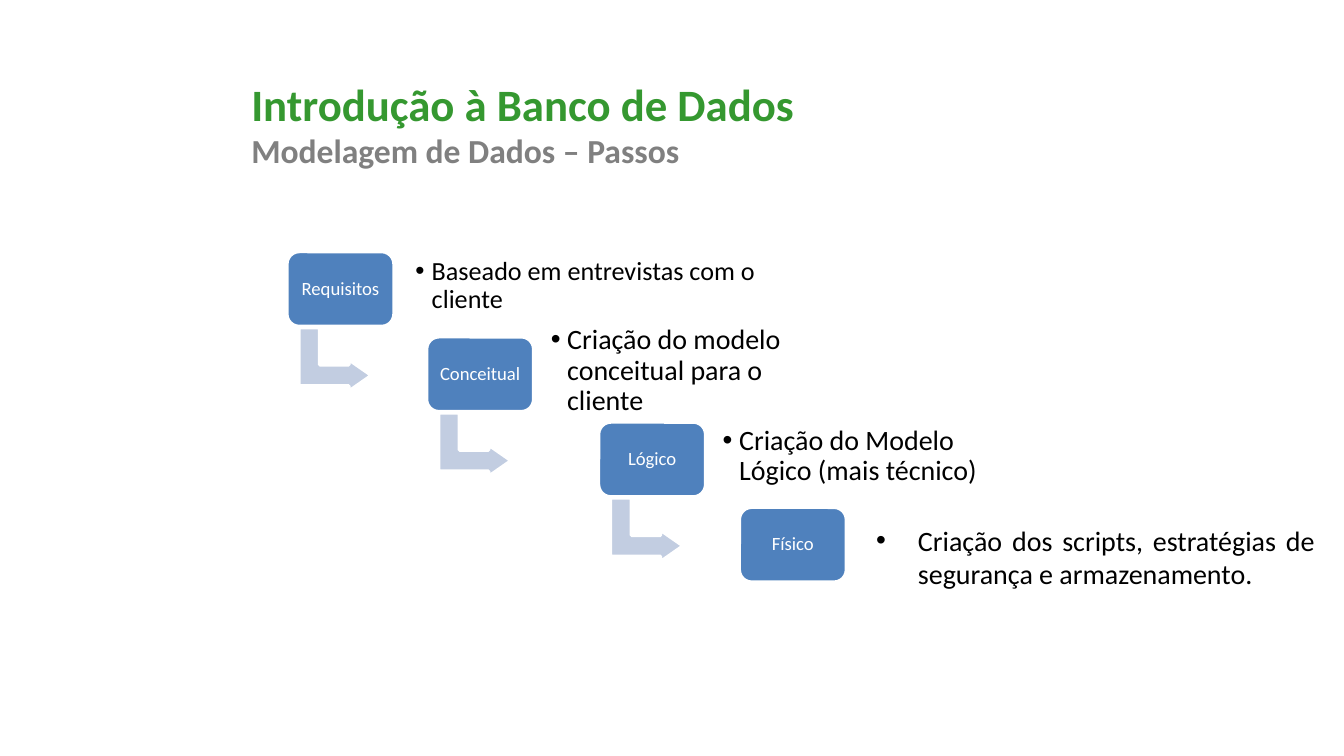
from dataclasses import dataclass

from lxml.etree import SubElement
from pptx import Presentation
from pptx.dml.color import RGBColor
from pptx.enum.shapes import MSO_SHAPE as Preset
from pptx.enum.text import MSO_ANCHOR as Anchor, PP_ALIGN as Align
from pptx.oxml.ns import qn
from pptx.shapes.autoshape import Shape
from pptx.slide import Slide
from pptx.text.text import TextFrame, _Run as Span
from pptx.util import Cm, Pt


@dataclass(frozen=True)
class Theme:
    font: str = "Calibri"
    title: str = "359830"
    subtitle: str = "808080"
    step: str = "4F81BD"
    arrow: str = "C2CDE1"
    light: str = "FFFFFF"
    dark: str = "000000"
    title_size: int = 24
    subtitle_size: int = 18
    label_size: int = 10
    outline: int = 2


@dataclass(frozen=True)
class NoteStyle:
    size: int
    indent: float
    inset_x: float
    inset_y: float
    spacing: float
    align: Align
    anchor: Anchor


@dataclass(frozen=True)
class Step:
    label: str
    left: float
    note: str
    note_left: float
    note_top: float
    note_width: float
    note_height: float
    style: NoteStyle


THEME = Theme()
SMALL_NOTE = NoteStyle(14, 0.31, 0.15, 0.15, 0.9, Align.LEFT, Anchor.MIDDLE)
NOTE = NoteStyle(15, 0.31, 0.15, 0.15, 0.9, Align.LEFT, Anchor.MIDDLE)
WIDE_NOTE = NoteStyle(15, 0.79, 0.25, 0.13, 1.0, Align.JUSTIFY, Anchor.TOP)

FIRST_TOP, STEP_RISE = 4.75, 1.61
BOX_WIDTH, BOX_HEIGHT = 2.03, 1.42
ARROW_WIDTH, ARROW_HEIGHT = 1.21, 1.38
ARROW_RIGHT, ARROW_DOWN = 0.31, 1.35

STEPS = [
    Step("Requisitos", 5.42, "Baseado em entrevistas com o cliente",
         7.7, 0.08, 6.78, 1.14, SMALL_NOTE),
    Step("Conceitual", 8.06, "Criação do modelo conceitual para o cliente",
         10.26, 0.08, 5.21, 1.14, NOTE),
    Step("Lógico", 11.31, "Criação do Modelo Lógico (mais técnico)",
         13.51, 0.08, 5.31, 1.14, NOTE),
    Step("Físico", 13.97,
         "Criação dos scripts, estratégias de segurança e armazenamento.",
         16.31, 0.17, 8.79, 1.55, WIDE_NOTE),
]


def format_span(span: Span, size: int, color: str, bold: bool = False) -> None:
    span.font.name = THEME.font
    span.font.size = Pt(size)
    span.font.bold = bold
    span.font.color.rgb = RGBColor.from_string(color)


def set_insets(frame: TextFrame, inset_x: float, inset_y: float) -> None:
    frame.margin_left = frame.margin_right = Cm(inset_x)
    frame.margin_top = frame.margin_bottom = Cm(inset_y)


def paint(shape: Shape, color: str) -> None:
    shape.shadow.inherit = False
    shape.fill.solid()
    shape.fill.fore_color.rgb = RGBColor.from_string(color)
    shape.line.color.rgb = RGBColor.from_string(THEME.light)
    shape.line.width = Pt(THEME.outline)


def draw_title(page: Slide) -> None:
    box = page.shapes.add_textbox(Cm(4.5), Cm(1.32), Cm(19.63), Cm(2.62))
    frame = box.text_frame
    frame.word_wrap = True
    frame.text = "Introdução à Banco de Dados\vModelagem de Dados – Passos"
    title, subtitle = frame.paragraphs[0].runs
    format_span(title, THEME.title_size, THEME.title, bold=True)
    format_span(subtitle, THEME.subtitle_size, THEME.subtitle, bold=True)


def draw_arrow(page: Slide, left: float, top: float) -> None:
    arrow = page.shapes.add_shape(
        Preset.BENT_UP_ARROW, Cm(left + ARROW_RIGHT), Cm(top + ARROW_DOWN),
        Cm(ARROW_WIDTH), Cm(ARROW_HEIGHT))
    arrow.rotation = 90
    for index, value in enumerate((0.33, 0.25, 0.36)):
        arrow.adjustments[index] = value
    paint(arrow, THEME.arrow)


def draw_box(page: Slide, step: Step, top: float) -> None:
    box = page.shapes.add_shape(
        Preset.ROUNDED_RECTANGLE, Cm(step.left), Cm(top),
        Cm(BOX_WIDTH), Cm(BOX_HEIGHT))
    paint(box, THEME.step)
    frame = box.text_frame
    frame.word_wrap = True
    frame.vertical_anchor = Anchor.MIDDLE
    set_insets(frame, 0.1, 0.1)
    frame.text = step.label
    para = frame.paragraphs[0]
    para.alignment = Align.CENTER
    para.line_spacing = 0.9
    format_span(para.runs[0], THEME.label_size, THEME.light)


def draw_note(page: Slide, step: Step, top: float) -> None:
    style = step.style
    box = page.shapes.add_textbox(
        Cm(step.note_left), Cm(top + step.note_top),
        Cm(step.note_width), Cm(step.note_height))
    frame = box.text_frame
    frame.word_wrap = True
    frame.vertical_anchor = style.anchor
    set_insets(frame, style.inset_x, style.inset_y)
    frame.text = step.note
    para = frame.paragraphs[0]
    para.alignment = style.align
    para.line_spacing = style.spacing
    format_span(para.runs[0], style.size, THEME.dark)
    properties = para._p.get_or_add_pPr()
    properties.set("marL", str(Cm(style.indent)))
    properties.set("indent", str(-Cm(style.indent)))
    SubElement(properties, qn("a:buFont"), typeface="Arial")
    SubElement(properties, qn("a:buChar"), char="•")


def main() -> None:
    deck = Presentation()
    deck.slide_width, deck.slide_height = Cm(25.4), Cm(14.28)
    page = deck.slides.add_slide(deck.slide_layouts[6])
    draw_title(page)
    for index, step in enumerate(STEPS):
        top = FIRST_TOP + index * STEP_RISE
        if step is not STEPS[-1]:
            draw_arrow(page, step.left, top)
        draw_box(page, step, top)
        draw_note(page, step, top)
    deck.save("out.pptx")


if __name__ == "__main__":
    main()
